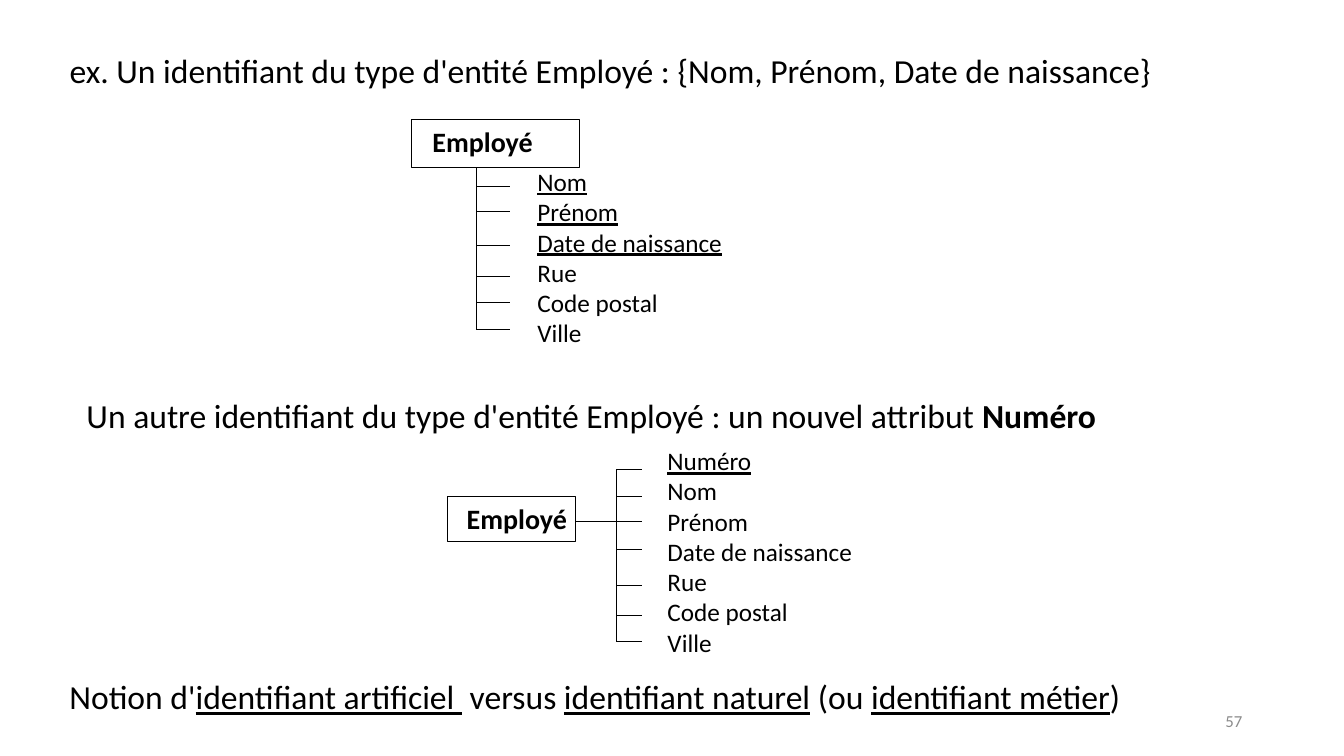
import dataclasses

import pptx
import pptx.dml.color
import pptx.enum.shapes
import pptx.enum.text
import pptx.oxml
import pptx.oxml.ns
import pptx.util

PX = 9144
ANCHOR = pptx.enum.text.MSO_ANCHOR
ALIGN = pptx.enum.text.PP_ALIGN
AUTO_SIZE = pptx.enum.text.MSO_AUTO_SIZE


@dataclasses.dataclass(frozen=True)
class Theme:
    font: str = "Calibri"
    ink: str = "000000"
    muted: str = "8B8B8B"
    sentence: int = 24
    entity: int = 20
    attribute: int = 18
    number: int = 12
    line: float = 0.75


THEME = Theme()


def px(*lengths):
    return [pptx.util.Emu(length * PX) for length in lengths]


def rgb(color):
    return pptx.dml.color.RGBColor.from_string(color)


def set_values(target, values):
    for name, value in values.items():
        setattr(target, name, value)


def place(shape, box):
    set_values(shape, dict(zip(("left", "top", "width", "height"), px(*box))))


def write(shape, paragraphs, size, color=THEME.ink, align=ALIGN.LEFT, **frame_values):
    frame = shape.text_frame
    set_values(frame, {
        "word_wrap": True,
        "auto_size": AUTO_SIZE.NONE,
        "vertical_anchor": ANCHOR.TOP,
        **frame_values,
    })
    for index, runs in enumerate(paragraphs):
        paragraph = frame.add_paragraph() if index else frame.paragraphs[0]
        set_values(paragraph, {"alignment": align, "space_before": pptx.util.Pt(0)})
        if shape.is_placeholder:
            properties = paragraph._p.get_or_add_pPr()
            properties.set("marL", "0")
            properties.set("indent", "0")
            properties.append(pptx.oxml.parse_xml(
                f"<a:buNone {pptx.oxml.ns.nsdecls('a')}/>"))
        for text, style in runs:
            run = paragraph.add_run()
            run.text = text
            set_values(run.font, {
                "name": THEME.font, "size": pptx.util.Pt(size), **style})
            run.font.color.rgb = rgb(color)


def add_text(slide, box, paragraphs, size, **values):
    write(slide.shapes.add_textbox(*px(*box)), paragraphs, size, **values)


def add_line(slide, start, end):
    connector = slide.shapes.add_connector(
        pptx.enum.shapes.MSO_CONNECTOR.STRAIGHT, *px(*start, *end))
    connector.line.color.rgb = rgb(THEME.ink)
    connector.line.width = pptx.util.Pt(THEME.line)
    connector._element.spPr.append(pptx.oxml.parse_xml(
        f"<a:effectLst {pptx.oxml.ns.nsdecls('a')}/>"))


def add_entity(slide, box, label_left):
    frame = slide.shapes.add_shape(
        pptx.enum.shapes.MSO_SHAPE.RECTANGLE, *px(*box))
    frame.shadow.inherit = False
    frame.fill.background()
    frame.line.color.rgb = rgb(THEME.ink)
    frame.line.width = pptx.util.Pt(THEME.line)
    add_text(slide, (label_left, box[1], 130, 43),
             [[("Employé", {"bold": True})]], THEME.entity)


def add_branches(slide, trunk, tip, trunk_top, rows):
    add_line(slide, (trunk, trunk_top), (trunk, rows[-1]))
    for row in rows:
        add_line(slide, (trunk, row), (tip, row))


def fill_attributes(placeholder, box, names, identifiers):
    place(placeholder, box)
    paragraphs = [[(name, {"underline": name in identifiers})] for name in names]
    write(placeholder, paragraphs, THEME.attribute)


def main():
    presentation = pptx.Presentation()
    set_values(presentation, dict(zip(("slide_width", "slide_height"), px(1333, 750))))
    slide = presentation.slides.add_slide(presentation.slide_layouts[3])
    title, natural_list, artificial_list = slide.placeholders
    attributes = ["Nom", "Prénom", "Date de naissance", "Rue", "Code postal", "Ville"]
    underlined = {"underline": True}

    place(title, (59, 44, 1159, 50))
    write(title, [[(
        "ex. Un identifiant du type d'entité Employé : "
        "{Nom, Prénom, Date de naissance}", {})]], THEME.sentence)

    add_entity(slide, (408, 119, 167, 47), 419)
    fill_attributes(natural_list, (523, 160, 220, 190), attributes, attributes[:3])
    add_branches(slide, 473, 506, 166, (185, 210, 244, 274, 300, 327))

    add_text(slide, (76, 387, 1197, 50), [[
        ("Un autre identifiant du type d'entité Employé : un nouvel attribut ", {}),
        ("Numéro", {"bold": True}),
    ]], THEME.sentence)

    add_entity(slide, (444, 493, 127, 44), 453)
    fill_attributes(artificial_list, (652, 437, 220, 220),
                    ["Numéro", *attributes], ["Numéro"])
    add_branches(slide, 611, 637, 466, (466, 493, 517, 545, 581, 611, 636))
    add_line(slide, (571, 517), (611, 517))

    add_text(slide, (59, 666, 1197, 50), [[
        ("Notion d'", {}),
        ("identifiant artificiel ", underlined),
        (" versus ", {}),
        ("identifiant naturel", underlined),
        (" (ou ", {}),
        ("identifiant métier", underlined),
        (")", {}),
    ]], THEME.sentence)
    add_text(slide, (942, 695, 300, 40), [[("57", {})]], THEME.number,
             color=THEME.muted, align=ALIGN.RIGHT, vertical_anchor=ANCHOR.MIDDLE)

    presentation.save("out.pptx")


if __name__ == "__main__":
    main()
